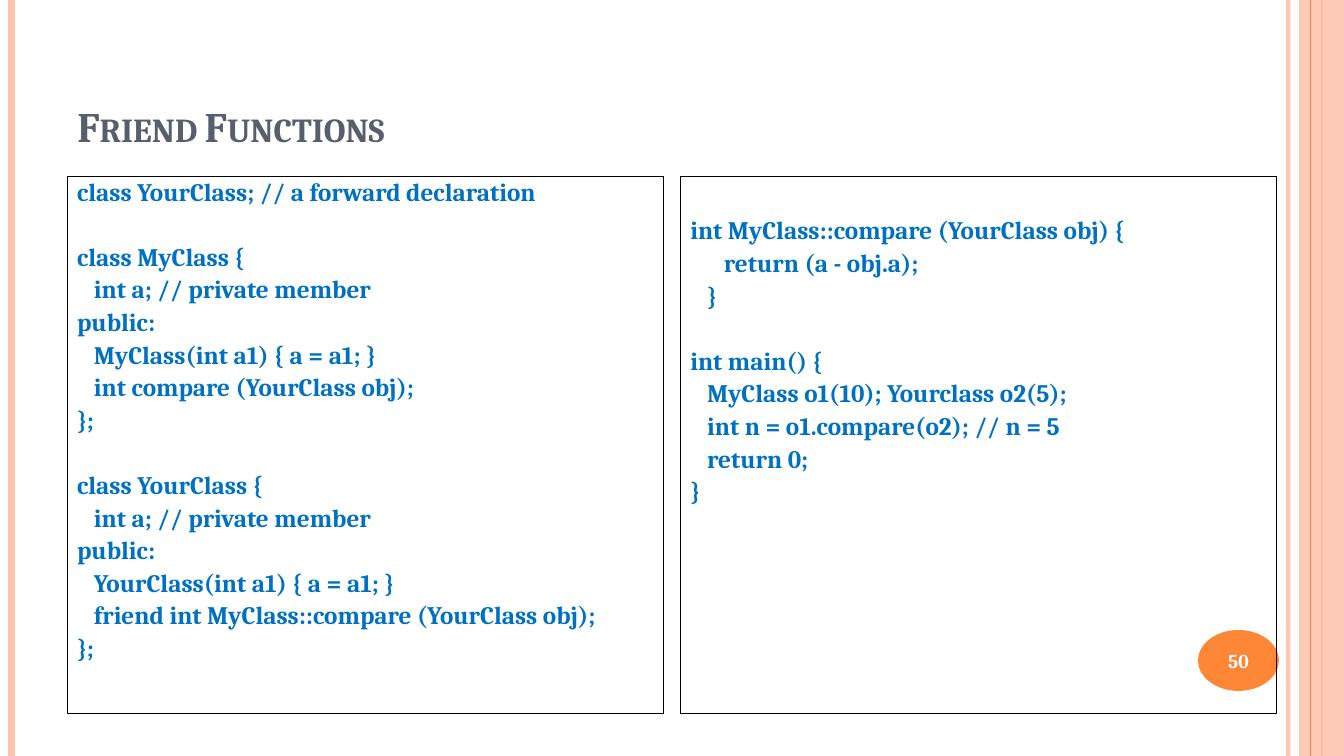
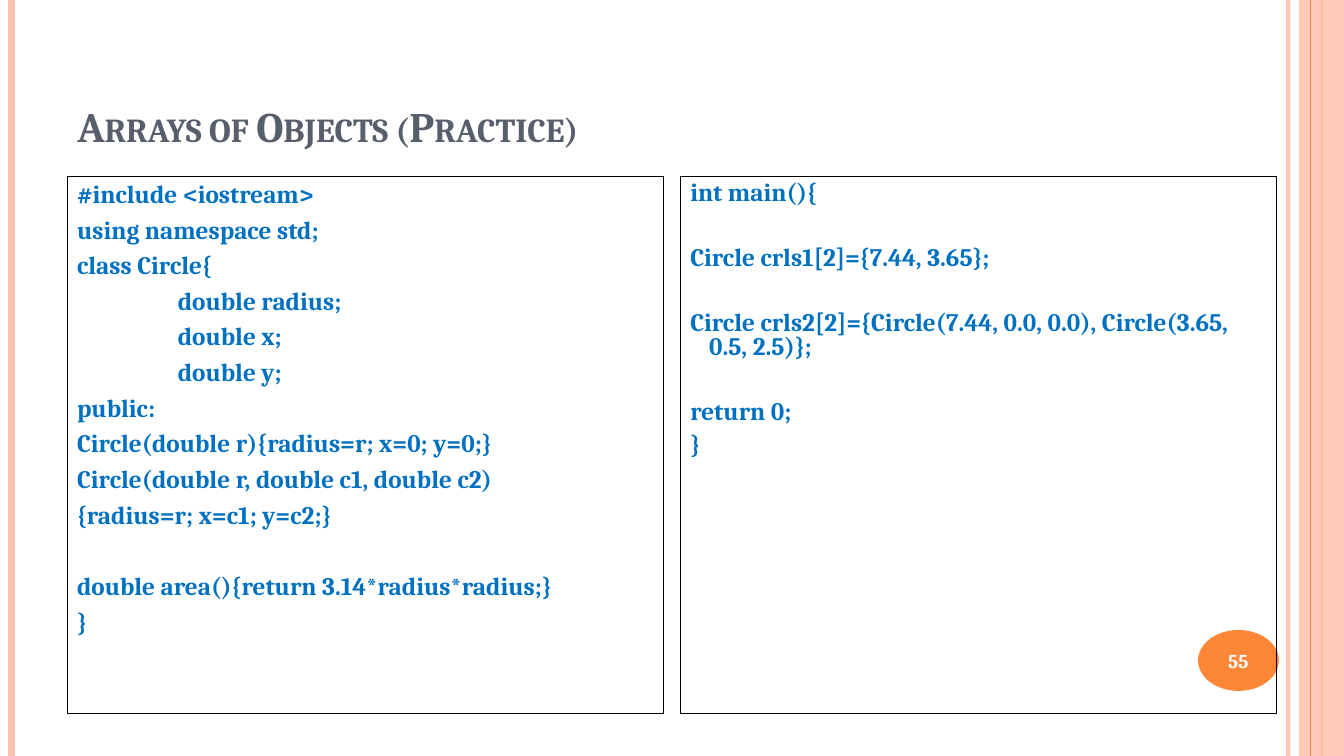
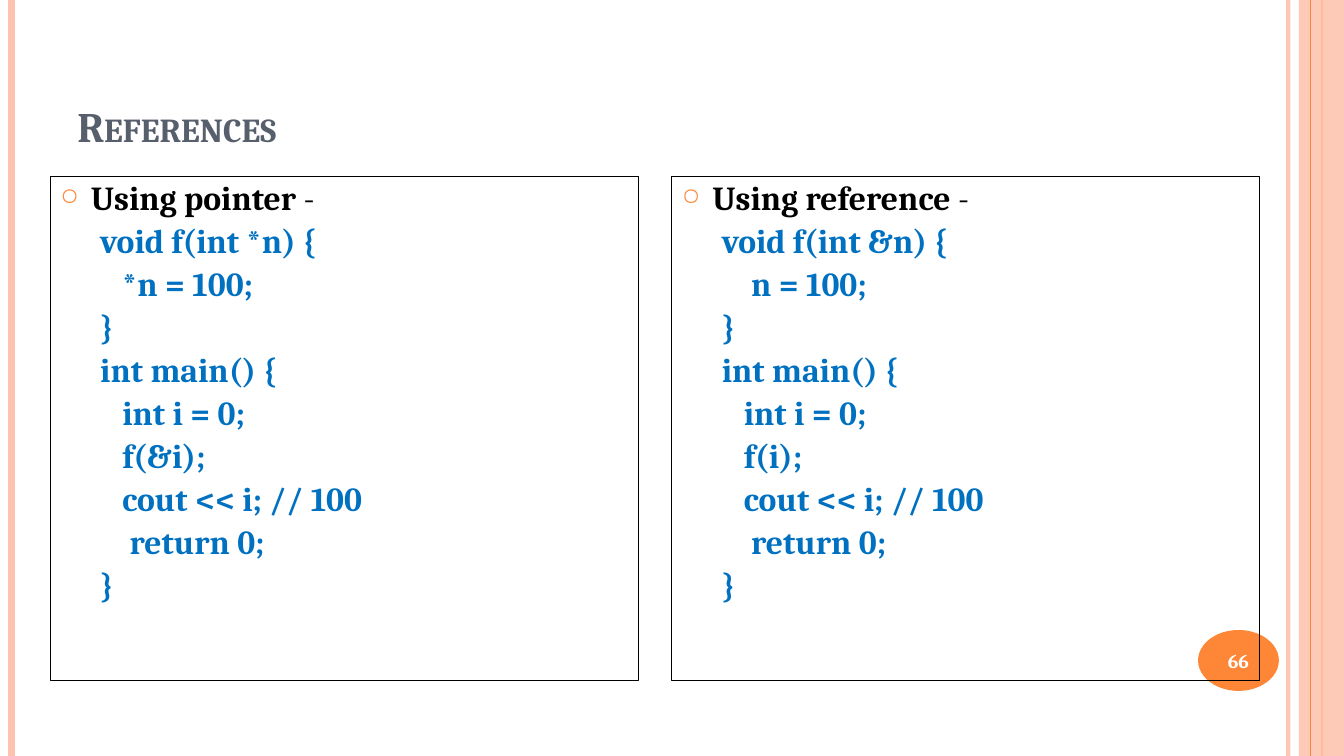
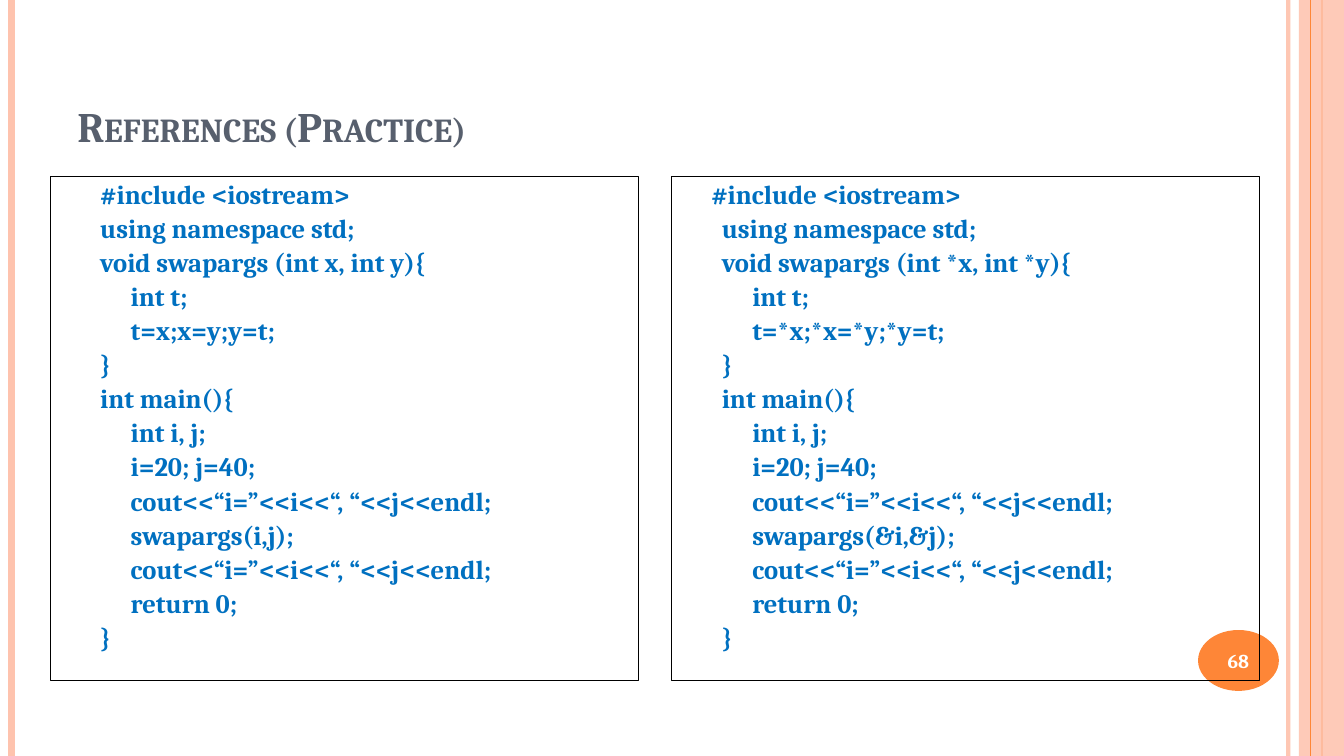
from lxml.etree import SubElement
from pptx import Presentation
from pptx.dml.color import RGBColor
from pptx.enum.shapes import MSO_CONNECTOR, MSO_SHAPE
from pptx.enum.text import MSO_ANCHOR as Anchor, MSO_AUTO_SIZE as AutoSize, PP_ALIGN as Align
from pptx.oxml.ns import qn
from pptx.util import Pt

SCALE = 9525  # EMU in one px
WIDTH, HEIGHT = 1280, 720
FONT = "Cambria"
LINE_HEIGHT = 1.2
COLORS = {
    "title": "575F6D",
    "code": "0070C0",
    "text": "000000",
    "accent": "FE8637",
    "band": "FEC3AE",
    "number": "FFFFFF",
}
# x, colour, width in points, opacity in percent
RULES = [
    (1227, "band", 3, 93),
    (11, "band", 4.5, 100),
    (1259, "accent", 1.5, 100),
]
THIN_RULE = (1248, "accent", 0.75, 100)
# left, top, width, height of the two code panels
WIDE_PANELS = [(64 + 584 * column, 168, 568, 512) for column in range(2)]
LOW_PANELS = [(48 + 592 * column, 168, 560, 480) for column in range(2)]


def px(*lengths):
    return [round(length * SCALE) for length in lengths]


class SlideBuilder:
    def __init__(self):
        self.deck = Presentation()
        self.deck.slide_width, self.deck.slide_height = px(WIDTH, HEIGHT)
        self.page = None

    def paint(self, target, color, opacity=100):
        """Give a fill one solid colour, see-through if opacity is below 100."""
        target.solid()
        target.fore_color.rgb = RGBColor.from_string(COLORS[color])
        if opacity < 100:
            value = target._xPr.find(".//" + qn("a:srgbClr"))
            SubElement(value, qn("a:alpha")).set("val", str(opacity * 1000))

    def start(self, title, number):
        self.page = self.deck.slides.add_slide(self.deck.slide_layouts[5])
        for rule in RULES:
            self.rule(*rule)
        band = self.shape(MSO_SHAPE.RECTANGLE, 1237, 0, 43, HEIGHT)
        self.paint(band.fill, "band", 87)
        self.rule(*THIN_RULE)
        self.number(number)
        self.title(title)

    def rule(self, x, color, width, opacity):
        line = self.page.shapes.add_connector(MSO_CONNECTOR.STRAIGHT, *px(x, 0, x, HEIGHT))
        line.line.width = Pt(width)
        self.paint(line.line.fill, color, opacity)
        SubElement(line._element.spPr, qn("a:effectLst"))

    def shape(self, kind, left, top, width, height):
        shape = self.page.shapes.add_shape(kind, *px(left, top, width, height))
        shape.shadow.inherit = False
        shape.line.fill.background()
        return shape

    def span(self, para, text, size, color, bold=True):
        span = para.add_run()
        span.text = text
        span.font.name = FONT
        span.font.size = Pt(size)
        span.font.bold = bold
        span.font.color.rgb = RGBColor.from_string(COLORS[color])
        return span

    def title(self, text):
        box = self.page.shapes.title
        box.left, box.top, box.width, box.height = px(64, 29, 1077, 120)
        frame = box.text_frame
        frame.auto_size = AutoSize.NONE
        frame.vertical_anchor = Anchor.BOTTOM
        para = frame.paragraphs[0]
        para.alignment = Align.LEFT
        span = self.span(para, text, 30, "title")
        span.font._element.set("cap", "small")

    def number(self, number):
        oval = self.shape(MSO_SHAPE.OVAL, 1141, 600, 77, 58)
        self.paint(oval.fill, "accent")
        para = oval.text_frame.paragraphs[0]
        para.alignment = Align.CENTER
        self.span(para, str(number), 14, "number")

    def panel(self, area, inset=5):
        """Draw an outlined box and return its text frame."""
        box = self.shape(MSO_SHAPE.RECTANGLE, *area)
        box.fill.background()
        self.paint(box.line.fill, "text")
        box.line.width = Pt(0.75)
        frame = box.text_frame
        frame.word_wrap = True
        frame.vertical_anchor = Anchor.TOP
        [frame.margin_top] = px(inset)
        return frame

    def paragraph(self, frame, spacing, before, start, hang, align=Align.LEFT):
        """Add a paragraph whose first line begins at start, in px."""
        para = frame.paragraphs[0]
        if para.runs:
            para = frame.add_paragraph()
        para.alignment = align
        para.line_spacing = spacing
        para.space_before = Pt(before)
        left, indent = px(start + hang, -hang)
        properties = para._p.get_or_add_pPr()
        properties.set("marL", str(left))
        properties.set("indent", str(indent))
        return para

    def heading(self, frame, text):
        para = self.paragraph(frame, 0.9, 6, 0, 29)
        properties = para._p.get_or_add_pPr()
        color = SubElement(properties, qn("a:buClr"))
        SubElement(color, qn("a:srgbClr")).set("val", COLORS["accent"])
        SubElement(properties, qn("a:buSzPct")).set("val", "70000")
        SubElement(properties, qn("a:buChar")).set("char", "○")
        self.span(para, text + " ", 24, "text")
        self.span(para, "-", 24, "text", bold=False)

    def code(self, frame, lines, size=18, spacing=0.8, before=6, start=0, hang=18,
             step=16, align=Align.LEFT):
        """Add code; three leading spaces indent by step, an empty line adds a gap."""
        gap = 0
        for line in lines:
            if not line:
                gap += size * LINE_HEIGHT * spacing + before
                continue
            text = line.lstrip()
            shift = (len(line) - len(text)) * step / 3
            para = self.paragraph(frame, spacing, before + gap, start + shift, hang, align)
            self.span(para, text, size, "code")
            gap = 0

    def nested_code(self, frame, lines, size, step):
        self.code(frame, lines, size, 0.9, size * 0.2, 38, 29, step)


FRIEND_CLASSES = [
    "class YourClass; // a forward declaration",
    "",
    "class MyClass {",
    "   int a; // private member",
    "public:",
    "   MyClass(int a1) { a = a1; }",
    "   int compare (YourClass obj);",
    "};",
    "",
    "class YourClass {",
    "   int a; // private member",
    "public:",
    "   YourClass(int a1) { a = a1; }",
    "   friend int MyClass::compare (YourClass obj);",
    "};",
]
FRIEND_MAIN = [
    "int MyClass::compare (YourClass obj) {",
    "      return (a - obj.a);",
    "   }",
    "",
    "int main() {",
    "   MyClass o1(10); Yourclass o2(5);",
    "   int n = o1.compare(o2); // n = 5",
    "   return 0;",
    "}",
]
CIRCLE_CLASS = [
    "#include <iostream>",
    "using namespace std;",
    "class Circle{",
    "   double radius;",
    "   double x;",
    "   double y;",
    "public:",
    "Circle(double r){radius=r; x=0; y=0;}",
    "Circle(double r, double c1, double c2)",
    "{radius=r; x=c1; y=c2;}",
    "",
    "double area(){return 3.14*radius*radius;}",
    "}",
]
CIRCLE_MAIN = [
    "int main(){",
    "",
    "Circle crls1[2]={7.44, 3.65};",
    "",
    "Circle crls2[2]={Circle(7.44, 0.0, 0.0), Circle(3.65, 0.5, 2.5)};",
    "",
    "return 0;",
    "}",
]


def assign_code(parameter, assignment, argument):
    return [
        f"void f(int {parameter}) {{",
        assignment,
        "}",
        "int main() {",
        "   int i = 0;",
        f"   f({argument});",
        "   cout << i; // 100",
        "    return 0;",
        "}",
    ]


def swap_code(star, address):
    output = "   cout<<“i=”<<i<<“, “<<j<<endl;"
    return [
        "using namespace std;",
        f"void swapargs (int {star}x, int {star}y){{",
        "   int t;",
        f"   t={star}x;{star}x={star}y;{star}y=t;",
        "}",
        "int main(){",
        "   int i, j;",
        "   i=20; j=40;",
        output,
        f"   swapargs({address}i,{address}j);",
        output,
        "   return 0;",
        "}",
    ]


def main():
    builder = SlideBuilder()

    builder.start("Friend Functions", 50)
    builder.code(builder.panel(WIDE_PANELS[0]), FRIEND_CLASSES)
    builder.code(builder.panel(WIDE_PANELS[1], inset=42), FRIEND_MAIN)

    builder.start("Arrays of Objects (Practice)", 55)
    builder.code(builder.panel(WIDE_PANELS[0]), CIRCLE_CLASS, spacing=0.9, hang=0, step=96,
                 align=Align.JUSTIFY)
    builder.code(builder.panel(WIDE_PANELS[1]), CIRCLE_MAIN)

    builder.start("References", 66)
    assignments = [
        ("Using pointer", assign_code("*n", "   *n = 100;", "&i")),
        ("Using reference", assign_code("&n", "    n = 100;", "i")),
    ]
    for area, (heading, lines) in zip(LOW_PANELS, assignments):
        frame = builder.panel(area)
        builder.heading(frame, heading)
        builder.nested_code(frame, lines, size=24, step=21)

    builder.start("References (Practice)", 68)
    swaps = [(38, swap_code("", "")), (28, swap_code("*", "&"))]
    for area, (start, lines) in zip(LOW_PANELS, swaps):
        frame = builder.panel(area)
        builder.code(frame, ["#include <iostream>"], size=19, spacing=0.9, start=start)
        builder.nested_code(frame, lines, size=19, step=29)

    builder.deck.save("out.pptx")


if __name__ == "__main__":
    main()
